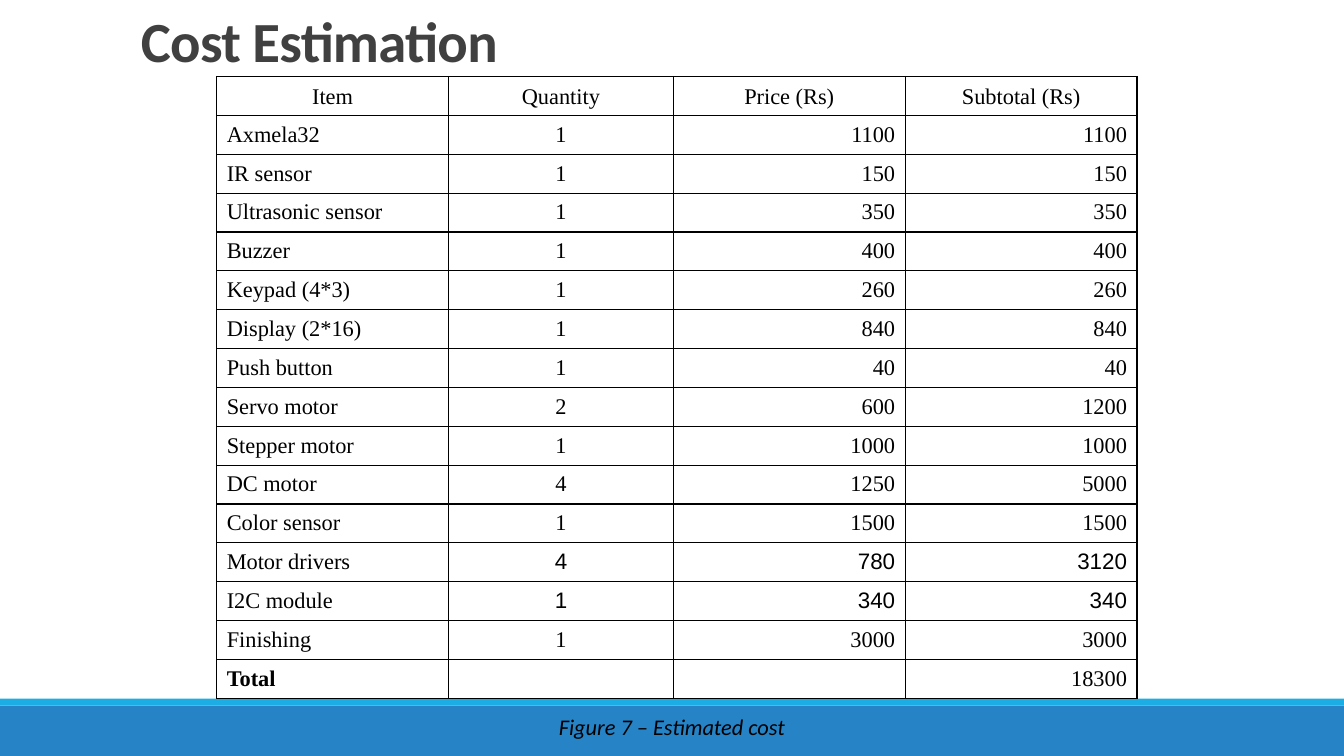
from lxml import etree
from pptx import Presentation
from pptx.dml.color import RGBColor
from pptx.enum.shapes import MSO_SHAPE
from pptx.enum.text import MSO_ANCHOR, PP_ALIGN
from pptx.oxml.ns import qn
from pptx.util import Pt

RECT = MSO_SHAPE.RECTANGLE
TOP, MIDDLE = MSO_ANCHOR.TOP, MSO_ANCHOR.MIDDLE
LEFT, CENTER, RIGHT = PP_ALIGN.LEFT, PP_ALIGN.CENTER, PP_ALIGN.RIGHT

COLORS = {"bar": "2683C6", "strip": "1CADE4", "title": "404040", "ink": "000000"}
SERIF, SANS, BODY = "Times New Roman", "Arial", "Calibri"

WIDTH, HEIGHT = 960, 540
BAR, STRIP = 36, 5
COLS = (165.6, 160.6, 165.6, 165.6)
ROW = 26.85

HEADS = ("Item", "Quantity", "Price (Rs)", "Subtotal (Rs)")
ALIGNS = (LEFT, CENTER, RIGHT, RIGHT)
PARTS = [
    ("Axmela32", 1, 1100),
    ("IR sensor", 1, 150),
    ("Ultrasonic sensor", 1, 350),
    ("Buzzer", 1, 400),
    ("Keypad (4*3)", 1, 260),
    ("Display (2*16)", 1, 840),
    ("Push button", 1, 40),
    ("Servo motor", 2, 600),
    ("Stepper motor", 1, 1000),
    ("DC motor", 4, 1250),
    ("Color sensor", 1, 1500),
    ("Motor drivers", 4, 780),
    ("I2C module", 1, 340),
    ("Finishing", 1, 3000),
]
SANS_ROWS = ("Motor drivers", "I2C module")


def write(frame, text, size=16, font=BODY, color="ink", bold=False,
          italic=False, align=LEFT, lines=1.0, track=0):
    """Put one formatted run in the frame; track is in hundredths of a point."""
    par = frame.paragraphs[0]
    par.alignment, par.line_spacing = align, lines
    run = par.add_run()
    run.text = text
    run.font.size, run.font.name = Pt(size), font
    run.font.bold, run.font.italic = bold, italic
    run.font.color.rgb = RGBColor.from_string(COLORS[color])
    if track:
        run.font._element.set("spc", str(track))


def add_text(slide, text, left, top, width, height, anchor=TOP, wrap=True, **style):
    frame = slide.shapes.add_textbox(Pt(left), Pt(top), Pt(width), Pt(height)).text_frame
    frame.word_wrap, frame.vertical_anchor = wrap, anchor
    write(frame, text, **style)


def add_band(slide, color, left, top, width, height):
    band = slide.shapes.add_shape(RECT, Pt(left), Pt(top), Pt(width), Pt(height))
    band.shadow.inherit = False
    band.fill.solid()
    band.fill.fore_color.rgb = RGBColor.from_string(COLORS[color])
    band.line.fill.background()


def add_footer(slide, left, top, width):
    add_band(slide, "bar", left, top, width, BAR)
    add_band(slide, "strip", left, top - STRIP, width, STRIP)
    box = 183
    add_text(slide, "Figure 7 – Estimated cost", left + (width - box) / 2, top + 2,
             box, 27, wrap=False, italic=True, align=CENTER)


def add_borders(cell):
    props = cell._tc.get_or_add_tcPr()
    for i, side in enumerate(("lnL", "lnR", "lnT", "lnB")):
        line = etree.Element(qn(f"a:{side}"), w=str(Pt(1)))
        fill = etree.SubElement(line, qn("a:solidFill"))
        etree.SubElement(fill, qn("a:srgbClr"), val=COLORS["ink"])
        props.insert(i, line)


def add_costs(slide, left, top):
    """Lay out the cost table with computed subtotals and total."""
    rows = [(name, count, price, count * price) for name, count, price in PARTS]
    total = sum(row[-1] for row in rows)
    rows = [HEADS, *rows, ("Total", "", "", total)]
    table = slide.shapes.add_table(len(rows), len(COLS), Pt(left), Pt(top),
                                   Pt(sum(COLS)), Pt(ROW * len(rows))).table
    table.first_row = table.horz_banding = False
    for col, width in zip(table.columns, COLS):
        col.width = Pt(width)
    for r, row in enumerate(rows):
        table.rows[r].height = Pt(ROW)
        for c, value in enumerate(row):
            cell = table.cell(r, c)
            cell.fill.background()
            add_borders(cell)
            if value == "":
                cell.margin_top = cell.margin_bottom = 0
                continue
            cell.vertical_anchor = MIDDLE if r == 0 else TOP
            write(cell.text_frame, str(value), lines=1.07,
                  font=SANS if c and row[0] in SANS_ROWS else SERIF,
                  bold=value == "Total",
                  align=CENTER if r == 0 else ALIGNS[c])


def main():
    deck = Presentation()
    deck.slide_width, deck.slide_height = Pt(WIDTH), Pt(HEIGHT)
    slide = deck.slides.add_slide(deck.slide_layouts[6])
    add_footer(slide, 0, HEIGHT - BAR, WIDTH)
    add_text(slide, "Cost Estimation", 93.6, 7.2, 828, 50.4, anchor=MIDDLE,
             size=40.5, color="title", bold=True, lines=0.85, track=-50)
    add_costs(slide, 154.8, 54.7)
    deck.save("out.pptx")


if __name__ == "__main__":
    main()
